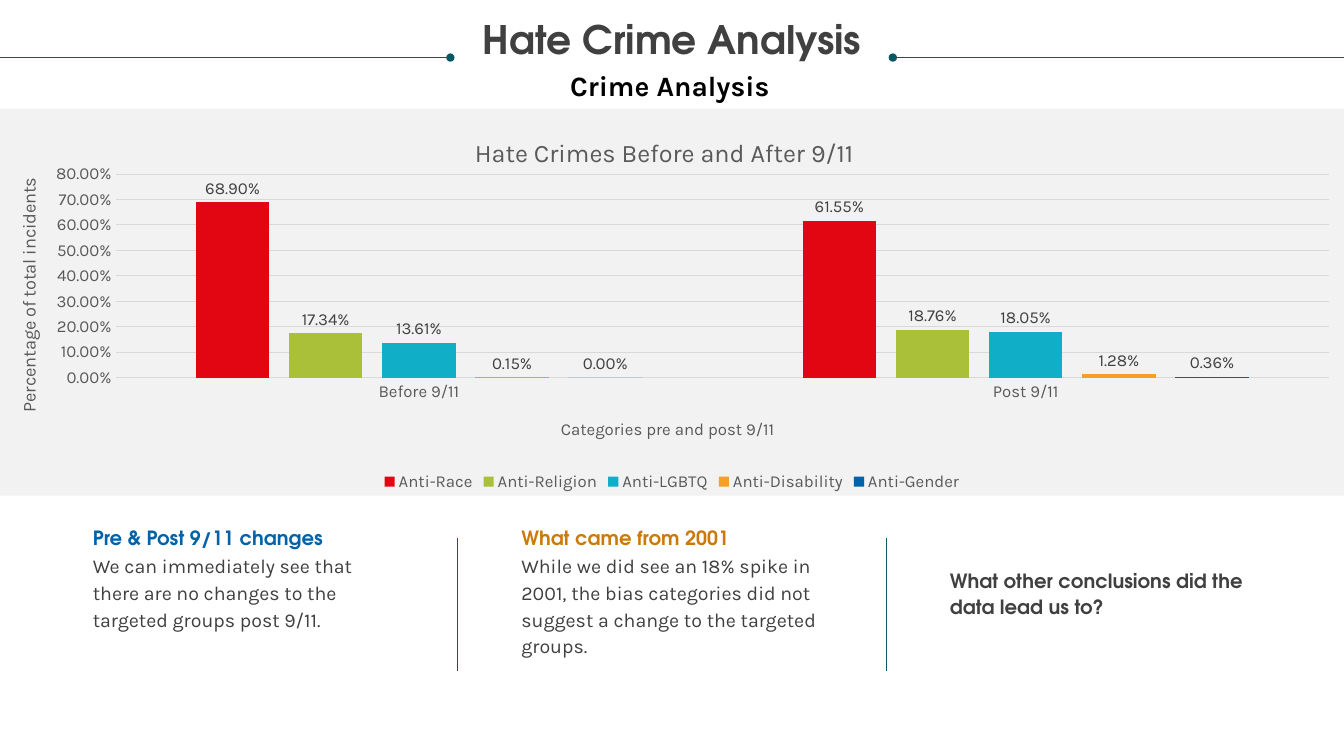
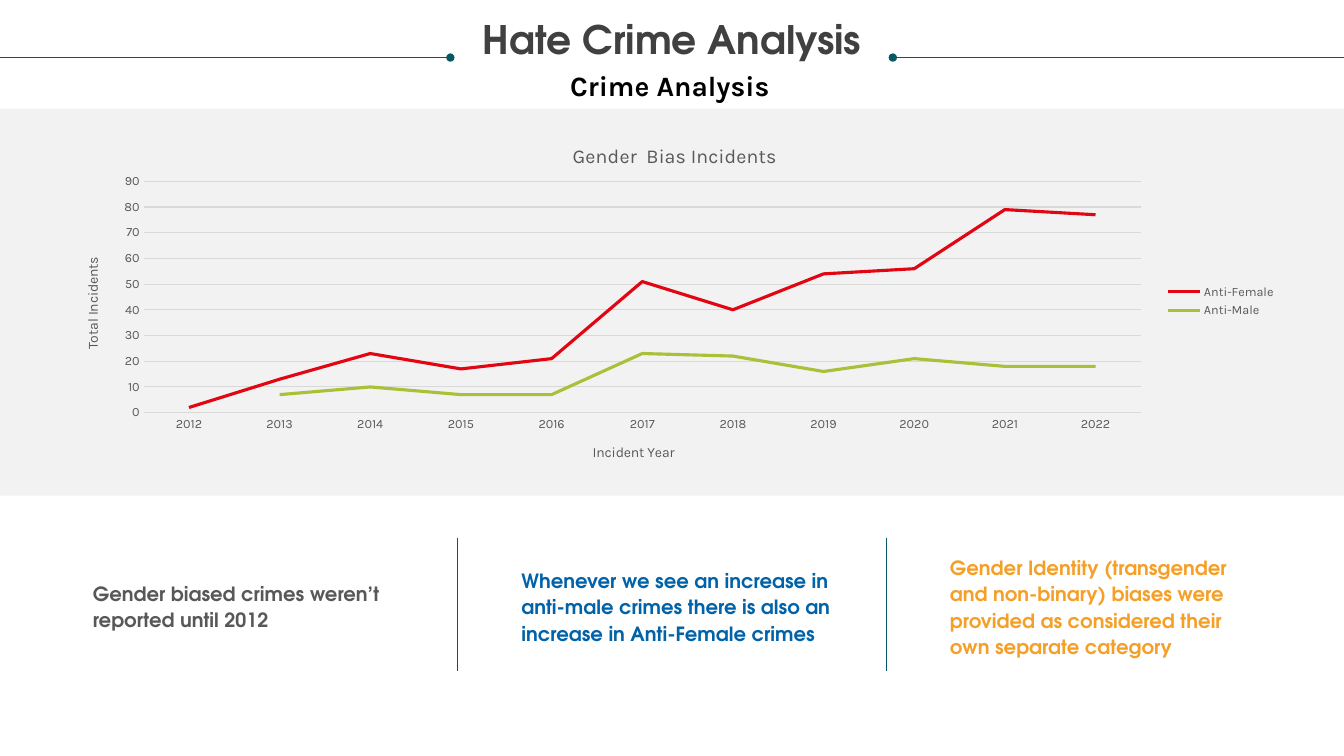
from pptx import Presentation
from pptx import util as u
from pptx.chart.data import CategoryChartData
from pptx.dml.color import RGBColor
from pptx.enum import chart as ch, shapes, text
from pptx.oxml import parse_xml
from pptx.oxml.ns import nsdecls, qn

Cm, Pt = u.Cm, u.Pt

WHITE_SMOKE = RGBColor(0xF2, 0xF2, 0xF2)
TEAL = RGBColor(0x08, 0x57, 0x64)
CHARCOAL = RGBColor(0x40, 0x40, 0x40)
GRAY = RGBColor(0x59, 0x59, 0x59)
STONE = RGBColor(0x58, 0x58, 0x58)
GRID = RGBColor(0xD9, 0xD9, 0xD9)
BLACK = RGBColor(0, 0, 0)
RED = RGBColor(0xE2, 0x06, 0x13)
GREEN = RGBColor(0xA9, 0xC0, 0x38)
CYAN = RGBColor(0x11, 0xAE, 0xC7)
ORANGE = RGBColor(0xF5, 0x9F, 0x26)
BLUE = RGBColor(0x00, 0x62, 0xA9)
AMBER = RGBColor(0xCB, 0x7A, 0x09)
PALETTE = (RED, GREEN, CYAN, ORANGE, BLUE)
HEAD_FONT, BODY_FONT = "TeX Gyre Adventor", "Karla"

SLIDE_W, SLIDE_H = 33.87, 19.05
BAND = (0, 2.74, SLIDE_W, 9.75)
RULE_Y, RULE_GAP = 1.45, (11.35, 22.5)
COLUMN_X, COLUMN_STEP, COLUMN_W = 2.34, 10.8, 7.62
DIVIDERS, DIVIDER_Y = (11.53, 22.33), (13.56, 16.92)

HEADING = dict(font=HEAD_FONT, bold=True)

SLIDES = [
    dict(
        chart=dict(
            kind=ch.XL_CHART_TYPE.COLUMN_CLUSTERED,
            box=BAND,
            title=("Hate Crimes Before and After 9/11", 18, (0.35, 0.06)),
            category_title=("Categories pre and post 9/11", 12, (0.415, 0.79)),
            value_title=("Percentage of total incidents", 13, (0.01, 0.17)),
            plot_area=(0.086, 0.169, 0.903, 0.526),
            scale=(0.8, 0.1, "0.00%"),
            size=12,
            legend=ch.XL_LEGEND_POSITION.BOTTOM,
            categories=["Before 9/11", "Post 9/11"],
            series=[
                ("Anti-Race", [0.689, 0.6155]),
                ("Anti-Religion", [0.1734, 0.1876]),
                ("Anti-LGBTQ", [0.1361, 0.1805]),
                ("Anti-Disability", [0.0015, 0.0128]),
                ("Anti-Gender", [0, 0.0036]),
            ],
        ),
        notes=[
            (0, 13.18, COLUMN_W, "Pre & Post 9/11 changes", dict(HEADING, color=BLUE)),
            (0, 13.89, COLUMN_W, "We can immediately see that there are no changes to "
             "the targeted groups post 9/11.", {}),
            (1, 13.18, COLUMN_W, "What came from 2001", dict(HEADING, color=AMBER)),
            (1, 13.89, COLUMN_W, "While we did see an 18% spike in 2001, the bias categories "
             "did not suggest a change to the targeted groups.", {}),
            (2, 14.25, COLUMN_W, "What other conclusions did the data lead us to?", HEADING),
        ],
    ),
    dict(
        chart=dict(
            kind=ch.XL_CHART_TYPE.LINE,
            box=(1.42, 3.07, 30.99, 9.04),
            title=("Gender  Bias Incidents", 14, (0.417, 0.05)),
            category_title=("Incident Year", 10, (0.434, 0.89)),
            value_title=("Total Incidents", 10, (0.02, 0.37)),
            plot_area=(0.071, 0.166, 0.811, 0.645),
            scale=(90, 10, "General"),
            size=9,
            legend=ch.XL_LEGEND_POSITION.RIGHT,
            categories=[str(year) for year in range(2012, 2023)],
            series=[
                ("Anti-Female", [2, 13, 23, 17, 21, 51, 40, 54, 56, 79, 77]),
                ("Anti-Male", [None, 7, 10, 7, 7, 23, 22, 16, 21, 18, 18]),
            ],
        ),
        notes=[
            (0, 14.58, 8.13, "Gender biased crimes weren’t reported until 2012",
             dict(HEADING, color=STONE)),
            (1, 14.25, 8.2, "Whenever we see an increase in anti-male crimes there is also "
             "an increase in Anti-Female crimes", dict(HEADING, color=BLUE)),
            (2, 13.92, COLUMN_W, "Gender Identity (transgender and non-binary) biases were "
             "provided as considered their own separate category", dict(HEADING, color=ORANGE)),
        ],
    ),
]


def style(font, size, color, name=BODY_FONT, bold=False):
    font.size, font.name, font.bold = Pt(size), name, bold
    font.color.rgb = color


def write(frame, content, size=14, font=BODY_FONT, color=CHARCOAL, bold=False,
          align=text.PP_ALIGN.LEFT, spacing=None, inset=0):
    frame.text = content
    frame.word_wrap = True
    frame.vertical_anchor = text.MSO_ANCHOR.TOP
    frame.margin_left = frame.margin_right = Cm(2 * inset)
    frame.margin_top = frame.margin_bottom = Cm(inset)
    paragraph = frame.paragraphs[0]
    paragraph.alignment = align
    if spacing:
        paragraph.line_spacing = spacing
    style(paragraph.runs[0].font, size, color, font, bold)


def place(shape, left, top, width, height):
    shape.left, shape.top = Cm(left), Cm(top)
    shape.width, shape.height = Cm(width), Cm(height)


def add_line(slide, x1, y1, x2, y2, dot=False):
    line = slide.shapes.add_connector(
        shapes.MSO_CONNECTOR.STRAIGHT, Cm(x1), Cm(y1), Cm(x2), Cm(y2))
    line.line.color.rgb = TEAL
    line.line.width = Pt(0.5)
    if dot:
        line.line._get_or_add_ln().append(
            parse_xml(f'<a:tailEnd {nsdecls("a")} type="oval"/>'))
    line._element.spPr.append(parse_xml(f'<a:effectLst {nsdecls("a")}/>'))


def set_layout(parent, index, values, target=""):
    for old in parent.findall(qn("c:layout")):
        parent.remove(old)
    modes = '<c:xMode val="edge"/><c:yMode val="edge"/>'
    sizes = "".join(f'<c:{tag} val="{value}"/>' for tag, value in zip("xywh", values))
    parent.insert(index, parse_xml(
        f'<c:layout {nsdecls("c")}><c:manualLayout>{target}{modes}{sizes}'
        '</c:manualLayout></c:layout>'))


def add_title(owner, label, size, position):
    title = owner.chart_title if hasattr(owner, "chart_title") else owner.axis_title
    title.text_frame.text = label
    style(title.text_frame.paragraphs[0].runs[0].font, size, GRAY)
    set_layout(title._element, 1, position)


def add_chart(slide, info):
    data = CategoryChartData()
    data.categories = info["categories"]
    for name, values in info["series"]:
        data.add_series(name, values)
    chart = slide.shapes.add_chart(
        info["kind"], *map(Cm, info["box"]), data).chart
    style(chart.font, 10, BLACK)
    maximum, step, number_format = info["scale"]

    chart.has_title = True
    add_title(chart, *info["title"])
    add_title(chart.category_axis, *info["category_title"])
    add_title(chart.value_axis, *info["value_title"])
    set_layout(chart._chartSpace.chart.plotArea, 0, info["plot_area"],
               '<c:layoutTarget val="inner"/>')

    for axis in (chart.category_axis, chart.value_axis):
        axis.major_tick_mark = axis.minor_tick_mark = ch.XL_TICK_MARK.NONE
        style(axis.tick_labels.font, info["size"], GRAY)
    value_axis = chart.value_axis
    value_axis.minimum_scale, value_axis.maximum_scale = 0, maximum
    value_axis.major_unit = step
    value_axis.tick_labels.number_format = number_format
    value_axis.tick_labels.number_format_is_linked = False
    value_axis.format.line.fill.background()
    for line in (chart.category_axis.format.line, value_axis.major_gridlines.format.line):
        line.color.rgb = GRID
        line.width = Pt(0.75)

    chart.has_legend = True
    chart.legend.position = info["legend"]
    chart.legend.include_in_layout = False
    style(chart.legend.font, info["size"], GRAY)

    plot = chart.plots[0]
    plot.vary_by_categories = False
    is_column = info["kind"] == ch.XL_CHART_TYPE.COLUMN_CLUSTERED
    for series, color in zip(plot.series, PALETTE):
        if is_column:
            series.format.fill.solid()
            series.format.fill.fore_color.rgb = color
        else:
            series.smooth = False
            series.marker.style = ch.XL_MARKER_STYLE.NONE
            series.format.line.color.rgb = color
            series.format.line.width = Pt(2.25)
    if is_column:
        plot.gap_width, plot.overlap = 219, -27
        plot.has_data_labels = True
        labels = plot.data_labels
        labels.show_value = True
        labels.position = ch.XL_LABEL_POSITION.OUTSIDE_END
        labels.number_format = number_format
        labels.number_format_is_linked = False
        style(labels.font, info["size"], CHARCOAL)


def add_frame(slide):
    title = slide.shapes.title
    place(title, 0.64, 0.53, 32.59, 1.07)
    write(title.text_frame, "Hate Crime Analysis", size=28, font=HEAD_FONT, bold=True,
          align=text.PP_ALIGN.CENTER, spacing=0.9)
    band = slide.shapes.add_shape(shapes.MSO_SHAPE.RECTANGLE, *map(Cm, BAND))
    band.shadow.inherit = False
    band.fill.solid()
    band.fill.fore_color.rgb = WHITE_SMOKE
    band.line.fill.background()
    for edge, inner in zip((0, SLIDE_W), RULE_GAP):
        add_line(slide, edge, RULE_Y, inner, RULE_Y, dot=True)
    for x in DIVIDERS:
        add_line(slide, x, DIVIDER_Y[0], x, DIVIDER_Y[1])
    subtitle = slide.shapes.add_textbox(Cm(12.22), Cm(1.6), Cm(9.32), Cm(1.12))
    write(subtitle.text_frame, "Crime Analysis", size=20, color=BLACK, bold=True,
          align=text.PP_ALIGN.CENTER, inset=0.13)


def main():
    deck = Presentation()
    deck.slide_width, deck.slide_height = Cm(SLIDE_W), Cm(SLIDE_H)
    for content in SLIDES:
        slide = deck.slides.add_slide(deck.slide_layouts[5])
        add_frame(slide)
        add_chart(slide, content["chart"])
        for column, top, width, note, look in content["notes"]:
            box = slide.shapes.add_textbox(
                Cm(COLUMN_X + column * COLUMN_STEP), Cm(top), Cm(width), Cm(2))
            write(box.text_frame, note, spacing=Pt(19), **look)
    deck.save("out.pptx")


if __name__ == "__main__":
    main()
